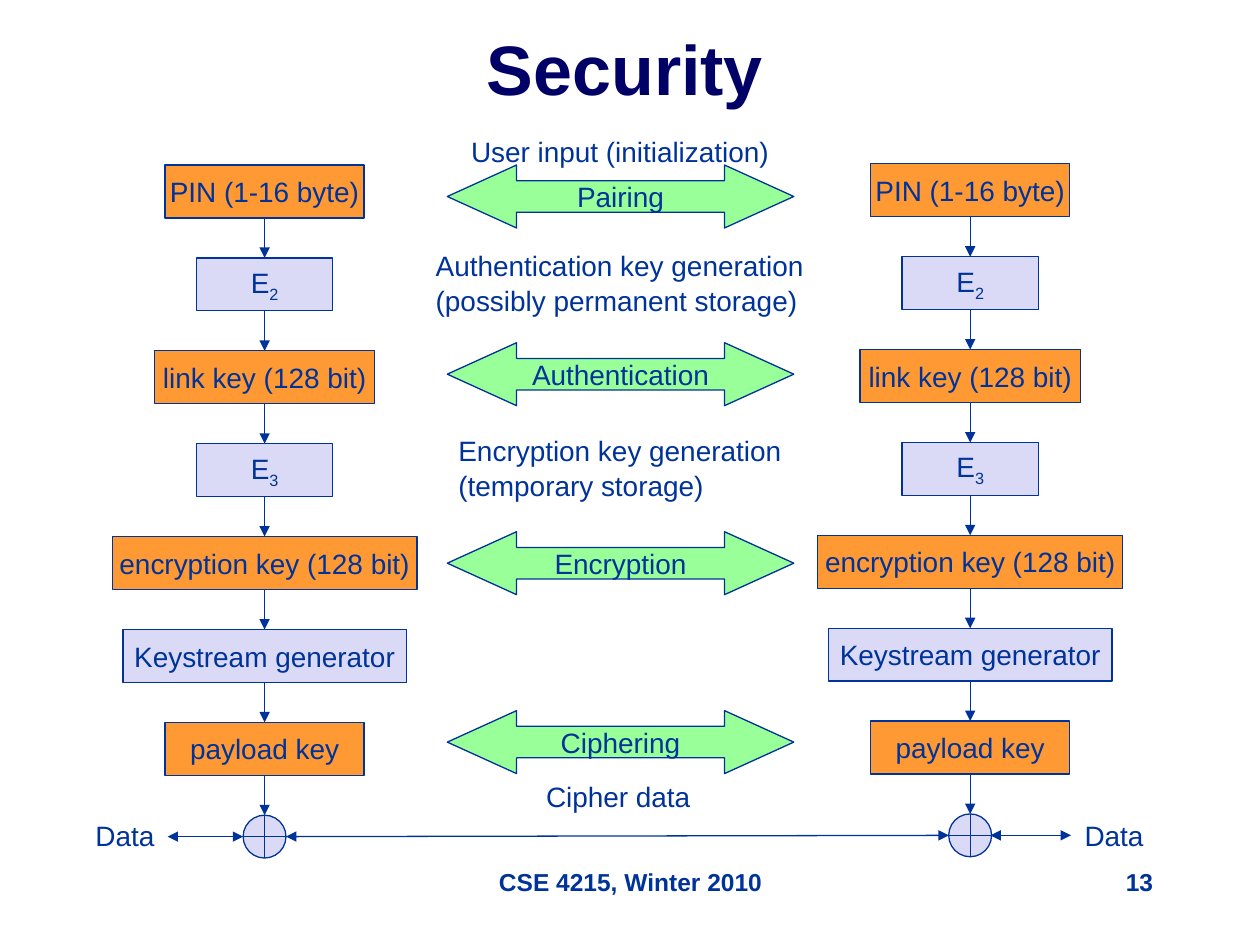
from lxml import etree
from pptx import Presentation
from pptx import util as u
from pptx.dml.color import RGBColor
from pptx.enum import shapes, text
from pptx.oxml.ns import qn

BLUE, NAVY = "003399", "000066"
ORANGE, LILAC, GREEN = "FF9933", "DADAF6", "99FF99"
KINDS = shapes.MSO_SHAPE
CENTER, LEFT, RIGHT = text.PP_ALIGN.CENTER, text.PP_ALIGN.LEFT, text.PP_ALIGN.RIGHT
TOP, MIDDLE, BOTTOM = (
    text.MSO_ANCHOR.TOP, text.MSO_ANCHOR.MIDDLE, text.MSO_ANCHOR.BOTTOM
)
STEPS = [
    ("PIN (1-16 byte)", "", 1.58, ORANGE),
    ("E", "2", 1.08, LILAC),
    ("link key (128 bit)", "", 1.75, ORANGE),
    ("E", "3", 1.08, LILAC),
    ("encryption key (128 bit)", "", 2.42, ORANGE),
    ("Keystream generator", "", 2.25, LILAC),
    ("payload key", "", 1.58, ORANGE),
]
PITCH, STEP_HEIGHT, MIXER = 5.16 / 7, 0.42, 0.34


def color(value):
    return RGBColor.from_string(value)


def apply(target, formats):
    for name, value in formats.items():
        setattr(target, name, value)


def outline(line):
    line.color.rgb = color(BLUE)
    line.width = u.Pt(0.75)


def write(shape, lines, subscript="", align=LEFT, anchor=TOP, wrap=False,
          size=16, ink=BLUE, bold=False, before=0):
    frame = shape.text_frame
    apply(frame, {"word_wrap": wrap, "vertical_anchor": anchor})
    for index, line in enumerate(lines):
        para = frame.add_paragraph() if index else frame.paragraphs[0]
        apply(para, {"alignment": align, "space_before": u.Pt(before)})
        for wording, offset in ((line, None), (subscript, "-25000")):
            if not wording:
                continue
            span = para.add_run()
            span.text = wording
            apply(span.font, {"name": "Arial", "size": u.Pt(size), "bold": bold})
            span.font.color.rgb = color(ink)
            if offset:
                span.font._element.set("baseline", offset)


def add_label(page, box, lines, **formats):
    write(page.shapes.add_textbox(*map(u.Inches, box)), lines, **formats)


def add_block(page, kind, box, fill):
    shape = page.shapes.add_shape(kind, *map(u.Inches, box))
    shape.shadow.inherit = False
    shape.fill.solid()
    shape.fill.fore_color.rgb = color(fill)
    outline(shape.line)
    return shape


def add_line(page, start, end, heads=()):
    line = page.shapes.add_connector(
        shapes.MSO_CONNECTOR.STRAIGHT, *map(u.Inches, (*start, *end))
    )
    outline(line.line)
    for head in heads:
        etree.SubElement(line.line._get_or_add_ln(), qn(f"a:{head}"), type="triangle")
    etree.SubElement(line._element.spPr, qn("a:effectLst"))


def add_mixer(page, left, top, size):
    add_block(page, KINDS.OVAL, (left, top, size, size), LILAC)
    middle, center = top + size / 2, left + size / 2
    add_line(page, (left, middle), (left + size, middle))
    add_line(page, (center, top), (center, top + size))


def add_station(page, left, top, width):
    center = left + width / 2
    for index, (wording, subscript, step_width, fill) in enumerate(STEPS):
        step_top = top + index * PITCH
        box = (center - step_width / 2, step_top, step_width, STEP_HEIGHT)
        step = add_block(page, KINDS.RECTANGLE, box, fill)
        write(step, [wording], subscript, align=CENTER, anchor=MIDDLE)
        add_line(page, (center, step_top + STEP_HEIGHT),
                 (center, step_top + PITCH), ["tailEnd"])
    add_mixer(page, center - MIXER / 2, top + len(STEPS) * PITCH, MIXER)


def add_exchange(page, left, top, width):
    for offset, wording in ((0, "Pairing"), (1.41, "Authentication"),
                            (2.91, "Encryption"), (4.33, "Ciphering")):
        arrow = add_block(page, KINDS.LEFT_RIGHT_ARROW,
                          (left, top + offset, width, 0.5), GREEN)
        arrow.adjustments[0], arrow.adjustments[1] = 0.5, 1.1
        write(arrow, [wording], align=CENTER, anchor=MIDDLE, before=1)
    center = left + width / 2
    for offset, label_width, height, lines in (
        (-0.29, 2.57, 0.37, ["User input (initialization)"]),
        (0.61, 3.13, 0.64,
         ["Authentication key generation", "(possibly permanent storage)"]),
        (2.08, 2.77, 0.64, ["Encryption key generation", "(temporary storage)"]),
        (4.83, 1.38, 0.37, ["Cipher data"]),
    ):
        add_label(page, (center - label_width / 2, top + offset, label_width, height),
                  lines, before=1)


def add_data_row(page, left, top, width):
    ends = ["headEnd", "tailEnd"]
    right = left + width
    stops = [left + 0.67, 1.93, 2.27, 7.53, 7.86, right - 0.68]
    heights = [6.64, 6.64, 6.64, 6.63, 6.63, 6.63]
    points = list(zip(stops, heights))
    for start, end in zip(points[::2], points[1::2]):
        add_line(page, start, end, ends)
    for label_left in (left, right - 0.67):
        add_label(page, (label_left, top, 0.67, 0.37), ["Data"], before=1)


def add_frame_text(page, left, top, width, height):
    add_label(page, (left, top, width, 0.67), ["Security"], align=CENTER,
              anchor=BOTTOM, wrap=True, size=40, ink=NAVY, bold=True)
    footer_top = top + height - 0.5
    for box_left, box_width, wording, align in (
        (3.42, 3.17, "CSE 4215, Winter 2010", CENTER),
        (left + width - 2.08, 2.08, "13", RIGHT),
    ):
        add_label(page, (box_left, footer_top, box_width, 0.5), [wording],
                  align=align, wrap=True, size=14, bold=True)


def main():
    deck = Presentation()
    apply(deck, {"slide_width": u.Inches(10), "slide_height": u.Inches(7.5)})
    page = deck.slides.add_slide(deck.slide_layouts[6])
    add_frame_text(page, 0.67, 0.25, 8.58, 7.08)
    add_station(page, 0.89, 1.31, 2.42)
    add_station(page, 6.49, 1.3, 2.42)
    add_exchange(page, 3.55, 1.31, 2.75)
    add_data_row(page, 0.66, 6.45, 8.52)
    deck.save("out.pptx")


if __name__ == "__main__":
    main()
